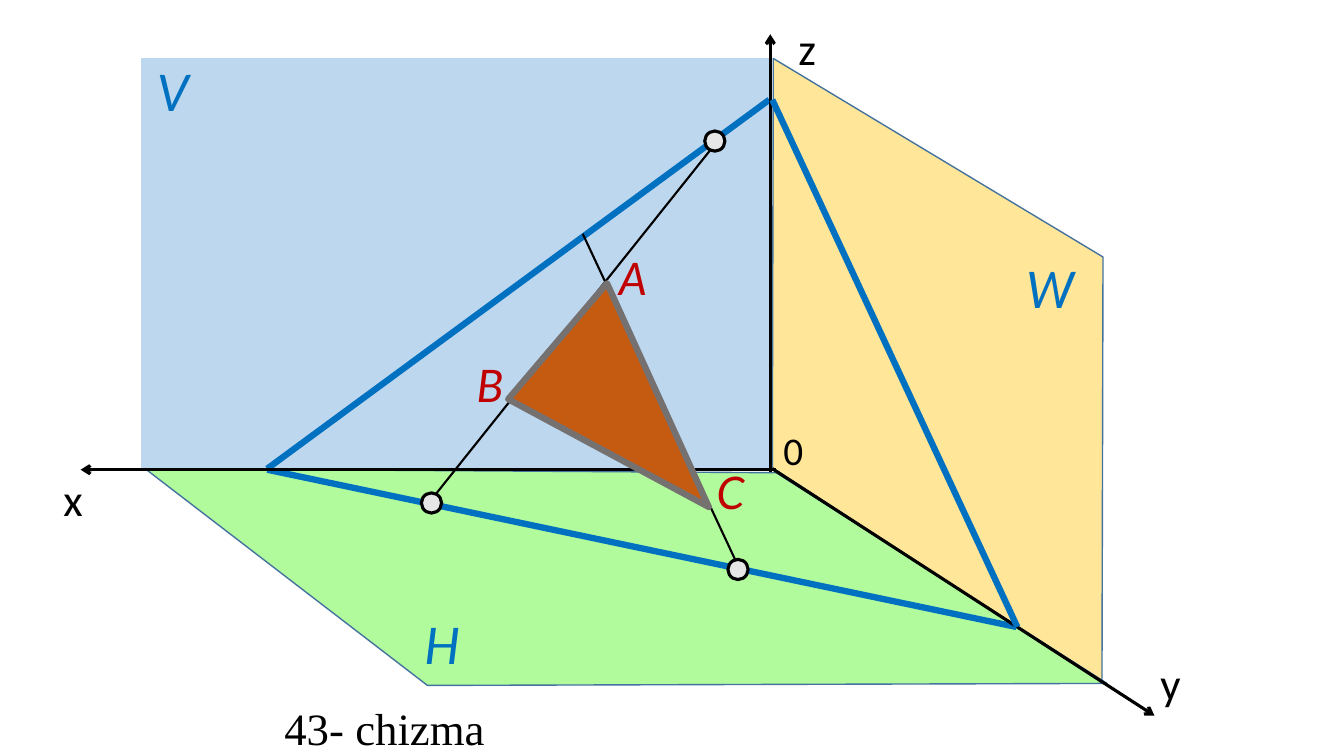
"""Draw a plane given by its traces, with triangle ABC lying in it."""
from dataclasses import dataclass

from lxml.etree import SubElement
from pptx import Presentation
from pptx.dml.color import RGBColor
from pptx.enum.shapes import MSO_CONNECTOR, MSO_SHAPE
from pptx.enum.text import MSO_ANCHOR, MSO_AUTO_SIZE, PP_ALIGN
from pptx.oxml.ns import qn
from pptx.util import Inches, Pt

Point = tuple[float, float]


@dataclass(frozen=True)
class Theme:
    ink: str = "000000"
    blue: str = "0070C0"
    red: str = "C00000"
    edge: str = "43739E"
    front: str = "BDD7EE"
    floor: str = "B1FB9D"
    side: str = "FFE699"
    dot: str = "E7E6E6"
    rust: str = "C55A11"
    gray: str = "767171"
    axis: str = "Calibri"
    italic: str = "Lato"
    serif: str = "Times New Roman"
    small: int = 28
    medium: int = 32
    large: int = 36


@dataclass(frozen=True)
class Face:
    points: tuple[Point, ...]
    fill: str
    line: str
    weight: float = 1


@dataclass(frozen=True)
class Line:
    start: Point
    end: Point
    color: str
    weight: float
    arrow: bool = False


@dataclass(frozen=True)
class Label:
    text: str
    spot: Point
    width: float
    size: int
    color: str
    font: str
    italic: bool = False


theme = Theme()
DOT = 0.2

PLANES = (
    Face(((7.67, 0.58), (10.94, 2.55), (10.93, 6.77), (7.66, 4.64)),
         theme.side, theme.edge),
    Face(((1.41, 0.58), (7.64, 0.58), (7.64, 4.66), (1.41, 4.66)),
         theme.front, theme.front),
    Face(((1.44, 4.65), (7.7, 4.69), (10.98, 6.78), (4.24, 6.8)),
         theme.floor, theme.edge),
)
TRIANGLE = Face(((5.04, 3.96), (6.02, 2.81), (7.03, 5.03)),
                theme.rust, theme.gray, 4.5)
LINES = (
    Line((2.65, 4.65), (7.63, 0.99), theme.blue, 4.5),
    Line((10.08, 6.22), (2.65, 4.66), theme.blue, 4.5),
    Line((4.26, 4.98), (7.1, 1.42), theme.ink, 1.5),
    Line((7.37, 5.72), (5.78, 2.32), theme.ink, 1.5),
    Line((7.7, 4.66), (0.8, 4.66), theme.ink, 2.25, True),
    Line((7.64, 4.68), (7.64, 0.34), theme.ink, 2.25, True),
    Line((7.66, 4.65), (11.45, 7.1), theme.ink, 2.25, True),
    Line((10.09, 6.22), (7.66, 0.99), theme.blue, 4.5),
)
DOTS = ((7.09, 1.4), (4.28, 4.99), (7.32, 5.65))


def axis(text: str, spot: Point, size: int = theme.medium) -> Label:
    return Label(text, spot, 0.45, size, theme.ink, theme.axis)


def plane(text: str, spot: Point) -> Label:
    return Label(text, spot, 0.89, theme.large, theme.blue, theme.italic, True)


def vertex(text: str, spot: Point) -> Label:
    return Label(text, spot, 0.48, theme.medium, theme.red, theme.italic, True)


LABELS = (
    axis("x", (0.53, 4.63)),
    axis("y", (11.41, 6.46)),
    axis("z", (7.82, 0.16)),
    axis("0", (7.67, 4.18), theme.small),
    plane("V", (1.46, 0.56)),
    plane("W", (10.08, 2.51)),
    plane("H", (4.11, 6.04)),
    vertex("A", (6.04, 2.44)),
    vertex("B", (4.63, 3.5)),
    vertex("C", (7.01, 4.56)),
)


def paint(shape, fill: str, line: str, weight: float) -> None:
    shape.shadow.inherit = False
    shape.fill.solid()
    shape.fill.fore_color.rgb = RGBColor.from_string(fill)
    shape.line.color.rgb = RGBColor.from_string(line)
    shape.line.width = Pt(weight)


def write(shape, text: str, *, size: int, color: str, font: str,
          italic: bool = False) -> None:
    frame = shape.text_frame
    frame.word_wrap = True
    frame.auto_size = MSO_AUTO_SIZE.NONE
    frame.vertical_anchor = MSO_ANCHOR.TOP
    para = frame.paragraphs[0]
    para.alignment = PP_ALIGN.LEFT
    run = para.add_run()
    run.text = text
    run.font.size = Pt(size)
    run.font.name = font
    run.font.italic = italic
    run.font.color.rgb = RGBColor.from_string(color)


def add_face(slide, face: Face) -> None:
    points = [(Inches(x), Inches(y)) for x, y in face.points]
    pen = slide.shapes.build_freeform(*points[0])
    pen.add_line_segments(points[1:], close=True)
    paint(pen.convert_to_shape(), face.fill, face.line, face.weight)


def add_line(slide, line: Line) -> None:
    ends = [Inches(n) for n in (*line.start, *line.end)]
    link = slide.shapes.add_connector(MSO_CONNECTOR.STRAIGHT, *ends)
    link.line.color.rgb = RGBColor.from_string(line.color)
    link.line.width = Pt(line.weight)
    if line.arrow:
        SubElement(link.line._get_or_add_ln(), qn("a:tailEnd"), type="arrow")
    SubElement(link._element.spPr, qn("a:effectLst"))


def add_dot(slide, spot: Point) -> None:
    left, top = (Inches(n - DOT / 2) for n in spot)
    dot = slide.shapes.add_shape(
        MSO_SHAPE.OVAL, left, top, Inches(DOT), Inches(DOT))
    paint(dot, theme.dot, theme.ink, 2.25)


def add_label(slide, label: Label) -> None:
    left, top = (Inches(n) for n in label.spot)
    box = slide.shapes.add_textbox(
        left, top, Inches(label.width), Inches(label.size / 50))
    write(box, label.text, size=label.size, color=label.color,
          font=label.font, italic=label.italic)


def add_title(slide) -> None:
    title = slide.shapes.title
    title.left, title.top = Inches(2.72), Inches(6.9)
    title.width, title.height = Inches(2.4), Inches(0.6)
    write(title, "43- chizma", size=theme.medium, color=theme.ink,
          font=theme.serif)


def main() -> None:
    deck = Presentation()
    deck.slide_width, deck.slide_height = Inches(13.33), Inches(7.5)
    slide = deck.slides.add_slide(deck.slide_layouts[5])
    add_title(slide)
    for face in PLANES:
        add_face(slide, face)
    for line in LINES:
        add_line(slide, line)
    for spot in DOTS:
        add_dot(slide, spot)
    add_face(slide, TRIANGLE)
    for label in LABELS:
        add_label(slide, label)
    deck.save("out.pptx")


if __name__ == "__main__":
    main()
